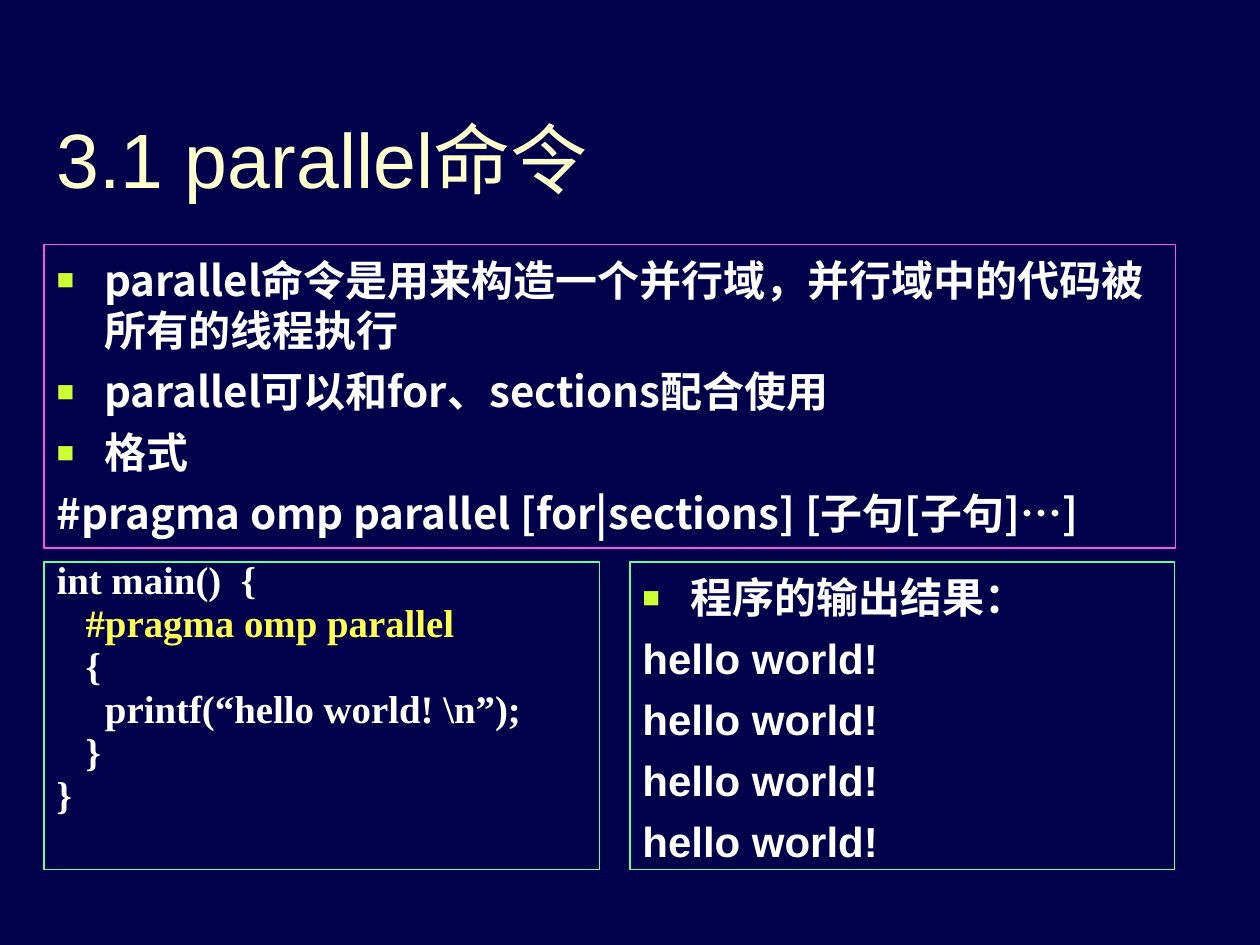
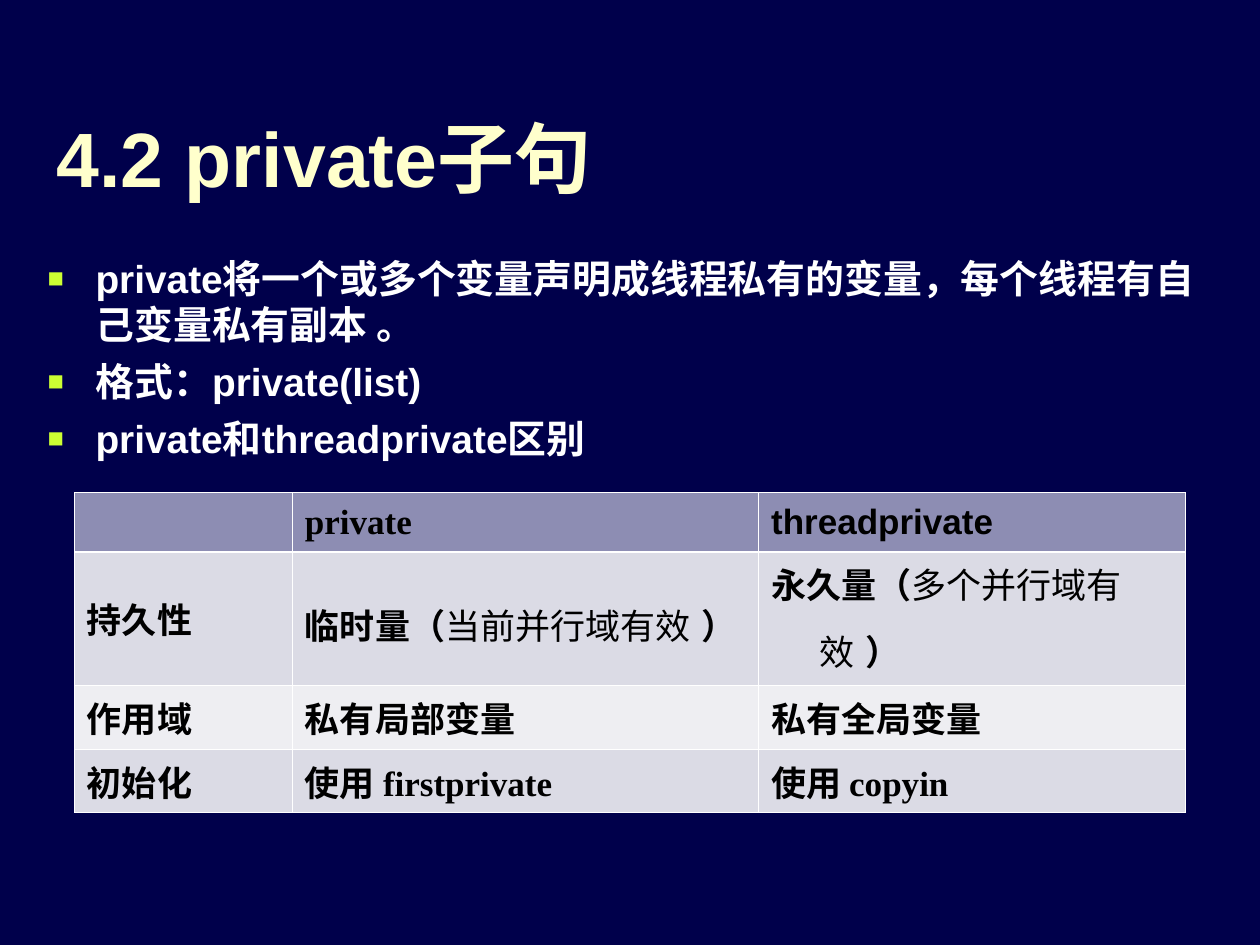
from lxml import etree
from pptx import Presentation
from pptx import util as u
from pptx.dml.color import RGBColor
from pptx.enum import shapes, text
from pptx.oxml.ns import qn

COLORS = {
    "background": "00004B", "title": "FFFFCC", "body": "FFFFFF", "bullet": "CCFF33",
    "keyword": "FEFE50", "pink": "FB53E7", "green": "66FF99", "ink": "000000",
    "header": "8D8DB3", "band1": "DBDBE5", "band2": "EEEEF2", "border": "FFFFFF",
}
CJK = "Noto Sans CJK SC"
SERIF = "Times New Roman"
SANS = "Arial"
INDENT = u.Inches(0.38)


def add_run(p, words, size, font, color="body", bold=True):
    r = p.add_run()
    r.text = words
    r.font.size = u.Pt(size)
    r.font.name = font
    r.font.bold = bold
    r.font.color.rgb = RGBColor.from_string(COLORS[color])
    etree.SubElement(r.font._element, qn("a:ea")).set("typeface", CJK)


def fill_text(tf, lines, size, font, spacing=1.2, top=0.08):
    """Write (words, bulleted, colour) lines with a hanging indent."""
    tf.word_wrap = True
    tf.vertical_anchor = text.MSO_ANCHOR.TOP
    tf.margin_top = u.Inches(top)
    for i, (words, bulleted, color) in enumerate(lines):
        p = tf.paragraphs[0] if i == 0 else tf.add_paragraph()
        p.alignment = text.PP_ALIGN.LEFT
        p.line_spacing = u.Pt(round(size * spacing, 1))
        p.space_before = u.Pt(6 if i else 0)
        pPr = p._p.get_or_add_pPr()
        pPr.set("marL", str(INDENT))
        pPr.set("indent", str(-INDENT))
        if bulleted:
            clr = etree.SubElement(pPr, qn("a:buClr"))
            etree.SubElement(clr, qn("a:srgbClr")).set("val", COLORS["bullet"])
            etree.SubElement(pPr, qn("a:buSzPct")).set("val", "70000")
            etree.SubElement(pPr, qn("a:buFont")).set("typeface", SANS)
            etree.SubElement(pPr, qn("a:buChar")).set("char", "■")
        else:
            etree.SubElement(pPr, qn("a:buNone"))
        add_run(p, words, size, font, color)


prs = Presentation()
prs.slide_width = u.Inches(10)
prs.slide_height = u.Inches(7.5)
background = prs.slide_master.background.fill
background.solid()
background.fore_color.rgb = RGBColor.from_string(COLORS["background"])

# Titles
slides = []
for words, bold, top, width, height in [
    ("3.1 parallel命令", False, 0.79, 9.45, 0.83),
    ("4.2 private子句", True, 0.76, 9, 0.85),
]:
    s = prs.slides.add_slide(prs.slide_layouts[5])
    title = s.shapes.title
    title.left, title.top = u.Inches(0.35), u.Inches(top)
    title.width, title.height = u.Inches(width), u.Inches(height)
    tf = title.text_frame
    tf.auto_size = text.MSO_AUTO_SIZE.NONE
    tf.vertical_anchor = text.MSO_ANCHOR.BOTTOM
    tf.margin_bottom = 0
    p = tf.paragraphs[0]
    p.alignment = text.PP_ALIGN.LEFT
    p.line_spacing = u.Pt(52.8)
    add_run(p, words, 44, SANS, "title", bold)
    slides.append(s)
parallel_slide, private_slide = slides

# Slide 1: framed description, code and output
description = [
    ("parallel命令是用来构造一个并行域，并行域中的代码被所有的线程执行", True, "body"),
    ("parallel可以和for、sections配合使用", True, "body"),
    ("格式", True, "body"),
    ("#pragma omp parallel [for|sections] [子句[子句]…]", False, "body"),
]
code = [
    ("int main()  {", False, "body"),
    ("   #pragma omp parallel", False, "keyword"),
    ("   {", False, "body"),
    ("     printf(“hello world! \\n”);", False, "body"),
    ("   }", False, "body"),
    ("}", False, "body"),
]
output = [("程序的输出结果：", True, "body")] + [("hello world!", False, "body")] * 4

for box, line, lines, size, font, spacing, top in [
    ((0.35, 1.94, 8.98, 2.41), "pink", description, 24, CJK, 1.2, 0.08),
    ((0.35, 4.46, 4.41, 2.44), "green", code, 22.2, SERIF, 0.84, 0.06),
    ((5, 4.46, 4.32, 2.44), "green", output, 24, SANS, 1.2, 0.08),
]:
    sp = parallel_slide.shapes.add_shape(
        shapes.MSO_SHAPE.RECTANGLE, *[u.Inches(v) for v in box])
    sp.shadow.inherit = False
    sp.fill.background()
    sp.line.color.rgb = RGBColor.from_string(COLORS[line])
    sp.line.width = u.Pt(0.75)
    fill_text(sp.text_frame, lines, size, font, spacing, top)

# Slide 2: bullets and comparison table
bullets = [
    ("private将一个或多个变量声明成线程私有的变量，每个线程有自己变量私有副本 。", True, "body"),
    ("格式：private(list)", True, "body"),
    ("private和threadprivate区别", True, "body"),
]
sp = private_slide.shapes.add_textbox(
    u.Inches(0.28), u.Inches(1.94), u.Inches(9.45), u.Inches(1.73))
fill_text(sp.text_frame, bullets, 22.2, SANS)

# A cell holds plain words, or a (term, scope) pair shown as term（scope ）
comparison = [
    ["", "private", "threadprivate"],
    ["持久性", ("临时量", "当前并行域有效"), ("永久量", "多个并行域有效")],
    ["作用域", "私有局部变量", "私有全局变量"],
    ["初始化", "使用 firstprivate", "使用 copyin"],
]
col_widths = [1.73, 3.7, 3.39]
row_heights = [0.47, 1.06, 0.51, 0.5]
row_fills = ["header", "band1", "band2", "band1"]
table = private_slide.shapes.add_table(
    4, 3, u.Inches(0.59), u.Inches(3.91),
    u.Inches(sum(col_widths)), u.Inches(sum(row_heights))).table
for column, width in zip(table.columns, col_widths):
    column.width = u.Inches(width)

for i, row in enumerate(comparison):
    table.rows[i].height = u.Inches(row_heights[i])
    for j, content in enumerate(row):
        cell = table.cell(i, j)
        cell.vertical_anchor = text.MSO_ANCHOR.MIDDLE
        cell.fill.solid()
        cell.fill.fore_color.rgb = RGBColor.from_string(COLORS[row_fills[i]])
        tcPr = cell._tc.get_or_add_tcPr()
        for k, side in enumerate(["lnL", "lnR", "lnT", "lnB"]):
            under_header = (i, side) in [(0, "lnB"), (1, "lnT")]
            ln = etree.Element(qn("a:" + side), w=str(u.Pt(1.47 if under_header else 0.45)))
            solid = etree.SubElement(ln, qn("a:solidFill"))
            etree.SubElement(solid, qn("a:srgbClr")).set("val", COLORS["border"])
            tcPr.insert(k, ln)
        p = cell.text_frame.paragraphs[0]
        pPr = p._p.get_or_add_pPr()
        pPr.set("marL", str(INDENT))
        pPr.set("indent", str(-INDENT))
        if isinstance(content, tuple):
            term, scope = content
            add_run(p, term + "（", 20, SERIF, "ink")
            add_run(p, scope, 20, SANS, "ink", False)
            add_run(p, " ", 28, SANS, "body", False)
            add_run(p, "）", 20, SERIF, "ink")
        elif content:
            add_run(p, content, 20, SANS if content == "threadprivate" else SERIF, "ink")

prs.save("out.pptx")
